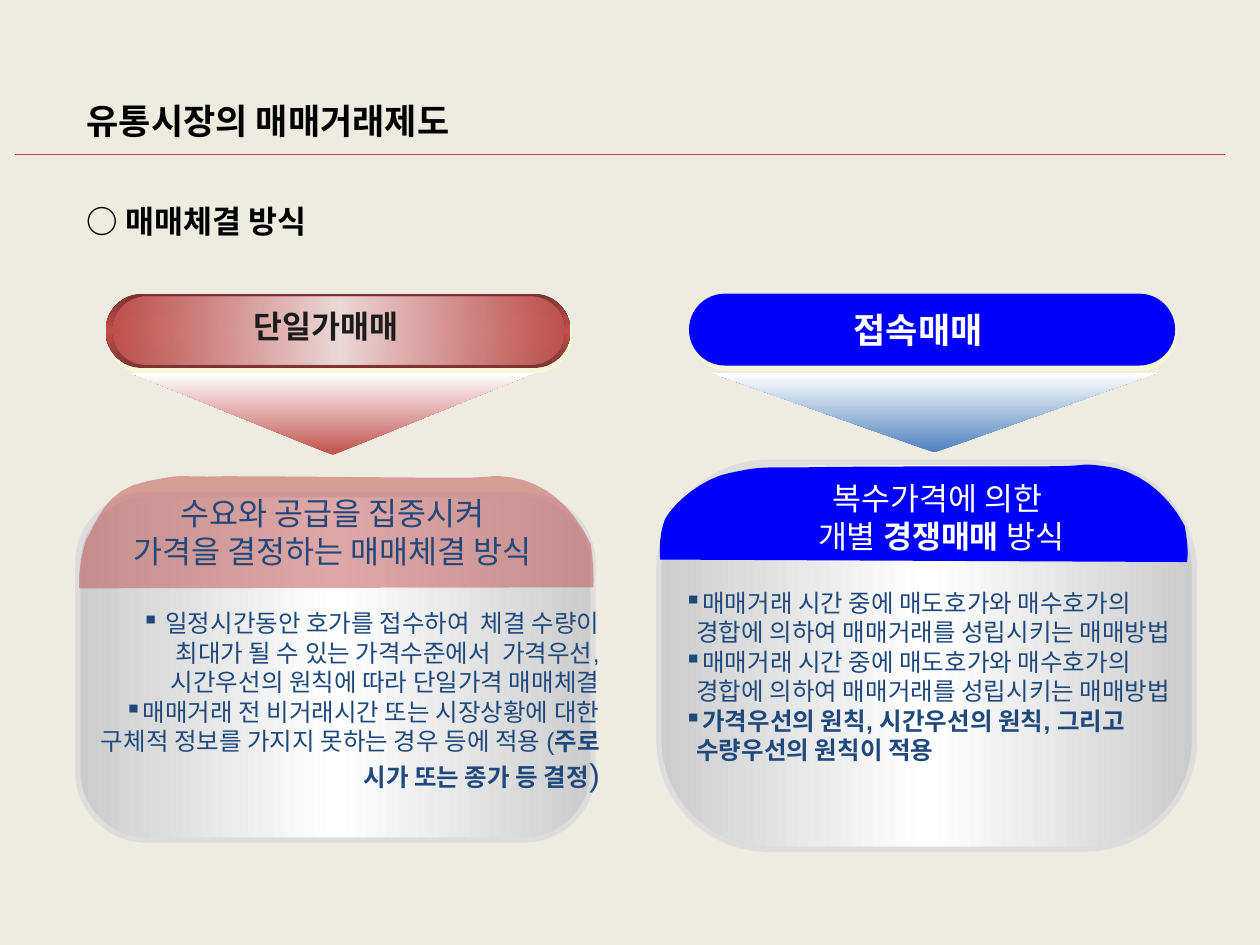
import pptx
import pptx.dml.color
import pptx.enum.shapes
import pptx.enum.text
import pptx.oxml.ns
import pptx.util
from lxml import etree

Cm, Pt = pptx.util.Cm, pptx.util.Pt
RGB = pptx.dml.color.RGBColor.from_string
SHAPE = pptx.enum.shapes.MSO_SHAPE
ALIGN = pptx.enum.text.PP_ALIGN
ANCHOR = pptx.enum.text.MSO_ANCHOR
qn = pptx.oxml.ns.qn

THEME = {
    "bg": "EEECE1", "black": "000000", "white": "FFFFFF", "ink": "1C1C1C",
    "navy": "1F497D", "red": "C0504D", "dark_red": "7B3331", "pink": "ECD8D8",
    "blue": "0000FF", "sky": "4F81BD", "edge": "CCCCCC", "border": "DDDDDD",
    "glow": "FFFFCC", "rule": "BF4C48",
    "title": 20, "head": 18, "body": 14,
    "title_font": "Noto Sans CJK KR", "font": "Arial",
}


def paint(sp, stops, angle=0):
    """Fill with (position, colour, opacity) stops; one stop is a solid fill."""
    sp.shadow.inherit = False
    sp.line.fill.background()
    sp.fill.solid()
    sp.fill.fore_color.rgb = RGB(THEME[stops[0][1]])
    solid = sp._element.spPr.find(qn("a:solidFill"))
    if len(stops) == 1:
        if stops[0][2] < 100:
            etree.SubElement(solid[0], qn("a:alpha"), val=str(stops[0][2] * 1000))
        return
    grad = etree.Element(qn("a:gradFill"), rotWithShape="1")
    gs_list = etree.SubElement(grad, qn("a:gsLst"))
    for pos, color, alpha in stops:
        gs = etree.SubElement(gs_list, qn("a:gs"), pos=str(pos * 1000))
        clr = etree.SubElement(gs, qn("a:srgbClr"), val=THEME[color])
        if alpha < 100:
            etree.SubElement(clr, qn("a:alpha"), val=str(alpha * 1000))
    etree.SubElement(grad, qn("a:lin"), ang=str(angle * 60000), scaled="0")
    solid.getparent().replace(solid, grad)


def add_text(box, paras, size, color, font="font", align=ALIGN.LEFT,
             anchor=ANCHOR.TOP, wrap=True):
    """Each paragraph is a list of (text, bold, size or None) runs."""
    tf = s.shapes.add_textbox(*map(Cm, box)).text_frame
    tf.word_wrap = wrap
    tf.vertical_anchor = anchor
    for i, runs in enumerate(paras):
        p = tf.add_paragraph() if i else tf.paragraphs[0]
        p.alignment = align
        for text, bold, own_size in runs:
            r = p.add_run()
            r.text = text
            r.font.name = THEME[font]
            r.font.size = Pt(THEME[own_size or size])
            r.font.bold = bold
            r.font.color.rgb = RGB(THEME[color])
            if font == "title_font":
                etree.SubElement(r._r.get_or_add_rPr(), qn("a:ea"), typeface=THEME[font])
    return tf


prs = pptx.Presentation()
prs.slide_width, prs.slide_height = Cm(25.4), Cm(19.05)
s = prs.slides.add_slide(prs.slide_layouts[6])
s.background.fill.solid()
s.background.fill.fore_color.rgb = RGB(THEME["bg"])

# Title and subtitle
add_text((1.5, 1.52, 16.2, 1.8), [[("유통시장의 매매거래제도", True, None)]],
         "title", "black", "title_font", anchor=ANCHOR.MIDDLE)
add_text((1.5, 3.94, 22, 1.02), [[("○ 매매체결 방식", True, None)]],
         "head", "black", "title_font")

# Two trading methods; cap curves hold two control points and an end point
TRADE = "매매거래 시간 중에 매도호가와 매수호가의 경합에 의하여 매매거래를 성립시키는 매매방법"
columns = [
    dict(
        label="단일가매매", label_box=(4.75, 6.07, 3.63, 1.02),
        label_size="head", label_color="ink",
        pill=(2.13, 5.92, 9.37, 1.5),
        pill_fill=[(0, "dark_red", 100), (50, "red", 100), (100, "dark_red", 100)],
        inner=(2.26, 5.99, 9.12, 1.35),
        inner_fill=[(0, "red", 90), (50, "pink", 100), (100, "red", 90)],
        arrow=(2.64, 7.52, 8.13, 1.65), arrow_color="red",
        panel=(3.28, 8.26, 6.96, 10.39), round=0.199,
        cap_fill=[(0, "red", 50)], start=(1.6, 11.86),
        curves=[
            ((1.6, 11.86), (1.55, 11.48), (1.73, 10.9)),
            ((1.96, 10.52), (2.11, 9.86), (2.97, 9.7)),
            ((3.81, 9.53), (3.48, 9.63), (4.52, 9.6)),
            ((5.56, 9.6), (8.23, 9.63), (9.22, 9.63)),
            ((10.19, 9.63), (9.75, 9.55), (10.34, 9.63)),
            ((10.95, 9.73), (11.53, 10.16), (11.91, 10.97)),
            ((11.99, 11.53), (11.96, 11.84), (11.96, 11.84)),
        ],
        body_box=(1.52, 12.14, 10.82, 4.01), body_align=ALIGN.RIGHT, indent=0,
        body=[
            [(" 일정시간동안 호가를 접수하여  체결 수량이 최대가 될 수 있는 가격수준에서  "
              "가격우선, 시간우선의 원칙에 따라 단일가격 매매체결", False, None)],
            [("매매거래 전 비거래시간 또는 시장상황에 대한 구체적 정보를 가지지 못하는 "
              "경우 등에 적용 (", False, None),
             ("주로 시가 또는 종가 등 결정", True, None), (")", False, "head")],
        ],
        head_box=(1.32, 9.83, 10.9, 1.78), head_color="navy", head_anchor=ANCHOR.MIDDLE,
        head=[[("수요와 공급을 집중시켜 ", False, None)],
              [("가격을 결정하는 매매체결 방식 ", False, None)]],
    ),
    dict(
        label="접속매매", label_box=(16.87, 6.1, 3.28, 1.09),
        label_size="title", label_color="white",
        pill=(13.89, 5.92, 9.8, 1.45), pill_fill=[(0, "blue", 100)],
        inner=(14.02, 6.02, 9.58, 1.3), inner_fill=[(0, "blue", 90)],
        arrow=(14.35, 7.52, 8.97, 1.6), arrow_color="sky",
        panel=(14.78, 7.82, 7.8, 10.8), round=0.283,
        cap_fill=[(0, "blue", 100)], start=(13.31, 11.28),
        curves=[
            ((13.31, 11.28), (13.26, 10.82), (13.41, 10.46)),
            ((13.59, 10.13), (14.17, 9.63), (14.73, 9.53)),
            ((15.29, 9.42), (15.19, 9.42), (16.26, 9.42)),
            ((17.32, 9.4), (20.09, 9.4), (21.08, 9.4)),
            ((22.1, 9.4), (21.64, 9.32), (22.28, 9.4)),
            ((22.89, 9.47), (23.5, 9.88), (23.88, 10.59)),
            ((23.98, 11.07), (23.93, 11.33), (23.93, 11.33)),
        ],
        body_box=(13.54, 11.73, 10.52, 5.05), body_align=ALIGN.LEFT, indent=0.25,
        body=[[(TRADE, False, None)], [(TRADE, False, None)],
              [("가격우선의 원칙, 시간우선의 원칙, 그리고 수량우선의 원칙이 적용", True, None)]],
        head_box=(14.07, 9.53, 9.8, 1.78), head_color="white", head_anchor=ANCHOR.TOP,
        head=[[("복수가격에 의한 ", False, None)],
              [("개별 ", False, None), ("경쟁매매", True, None), (" 방식", False, None)]],
    ),
]

for col in columns:
    # Pill with a soft shadow, its inner face and label
    for part, angle in (("pill", 90), ("inner", 0)):
        sp = s.shapes.add_shape(SHAPE.ROUNDED_RECTANGLE, *map(Cm, col[part]))
        sp.adjustments[0] = 0.5
        paint(sp, col[part + "_fill"], angle)
        if part == "pill":
            shadow = etree.SubElement(sp._element.spPr.find(qn("a:effectLst")),
                                      qn("a:outerShdw"), dist=str(Pt(3.2)),
                                      dir=str(72 * 60000), rotWithShape="0")
            clr = etree.SubElement(shadow, qn("a:srgbClr"), val=THEME["glow"])
            etree.SubElement(clr, qn("a:alpha"), val="50000")
    add_text(col["label_box"], [[(col["label"], True, None)]], col["label_size"],
             col["label_color"], align=ALIGN.CENTER, wrap=False)

    # Downward triangle
    sp = s.shapes.add_shape(SHAPE.ISOSCELES_TRIANGLE, *map(Cm, col["arrow"]))
    sp.rotation = 180
    paint(sp, [(0, col["arrow_color"], 100), (100, "white", 100)], 90)

    # Panel
    sp = s.shapes.add_shape(SHAPE.ROUNDED_RECTANGLE, *map(Cm, col["panel"]))
    sp.rotation = 90
    sp.adjustments[0] = col["round"]
    paint(sp, [(0, "edge", 100), (50, "white", 100), (100, "edge", 100)], 90)
    sp.line.color.rgb = RGB(THEME["border"])
    sp.line.width = Pt(3)

    # Curved cap, each curve sampled in eight steps
    points, last = [], col["start"]
    for c1, c2, end in col["curves"]:
        for t in (i / 8 for i in range(1, 9)):
            points.append([
                Cm((1 - t) ** 3 * a + 3 * t * (1 - t) ** 2 * b + 3 * t * t * (1 - t) * c + t ** 3 * d)
                for a, b, c, d in zip(last, c1, c2, end)])
        last = end
    fb = s.shapes.build_freeform(*map(Cm, col["start"]))
    fb.add_line_segments(points, close=True)
    paint(fb.convert_to_shape(), col["cap_fill"])

    # Bulleted body and heading
    tf = add_text(col["body_box"], col["body"], "body", "navy", align=col["body_align"])
    for p in tf.paragraphs:
        pPr = p._p.get_or_add_pPr()
        pPr.set("marL", str(Cm(col["indent"])))
        pPr.set("indent", str(-Cm(col["indent"])))
        etree.SubElement(pPr, qn("a:buChar"), char="▪")
    add_text(col["head_box"], col["head"], "head", col["head_color"],
             align=ALIGN.CENTER, anchor=col["head_anchor"])

# Rule under the title
ln = s.shapes.add_connector(pptx.enum.shapes.MSO_CONNECTOR.STRAIGHT,
                            Cm(0.3), Cm(3.12), Cm(24.69), Cm(3.12))
ln.line.color.rgb = RGB(THEME["rule"])
ln.line.width = Pt(0.75)
etree.SubElement(ln._element.spPr, qn("a:effectLst"))

prs.save("out.pptx")
